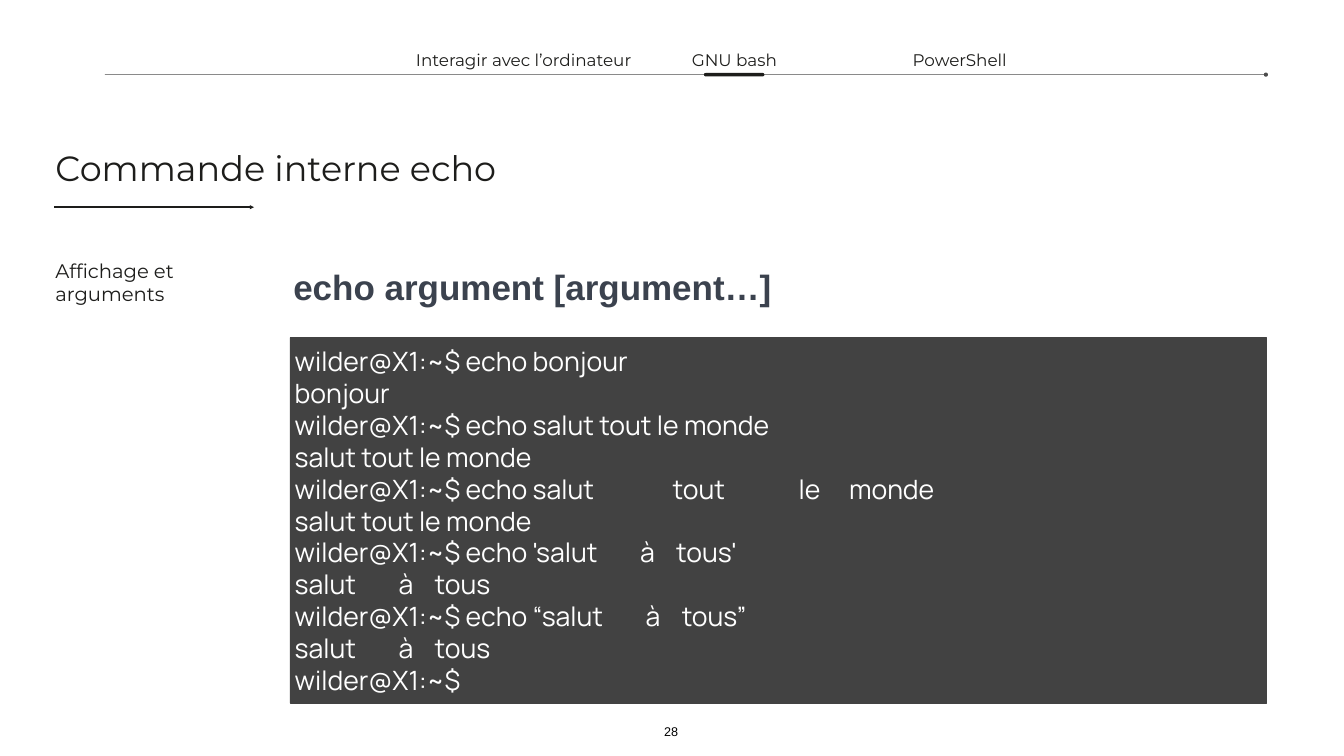
from lxml.etree import SubElement
from pptx import Presentation
from pptx.dml.color import RGBColor
from pptx.enum.shapes import MSO_CONNECTOR, MSO_SHAPE
from pptx.enum.text import MSO_ANCHOR, PP_ALIGN
from pptx.oxml.ns import qn
from pptx.util import Inches, Pt

WIDTH, HEIGHT = 26.67, 15
COLORS = {"ink": "1D1D1B", "rule": "000000", "terminal": "424242",
          "syntax": "3B424E", "white": "FFFFFF"}

TITLE = "Commande interne echo"
SUBTITLE = "Affichage et arguments"
SYNTAX = "echo argument [argument…]"
PAGE_NUMBER = "28"
TABS = [("Interagir avec l’ordinateur", 29.21, 19.5),
        ("GNU bash", 46.79, 15.71),
        ("PowerShell", 63.55, 15.71)]
PROMPT = "wilder@X1:~$"
SESSION = [
    (" echo bonjour", "bonjour"),
    (" echo salut tout le monde", "salut tout le monde"),
    (" echo salut              \ttout            \tle  \tmonde", "salut tout le monde"),
    (" echo 'salut        à    tous'", "salut        à    tous"),
    (" echo “salut        à    tous”", "salut        à    tous"),
]

LEFT, RIGHT = 3.9, 94.19
TERMINAL_LEFT = 21.56
NAVIGATION_RULE = 9.87


def across(percent):
    return Inches(WIDTH * percent / 100)


def down(percent):
    return Inches(HEIGHT * percent / 100)


def place(left, top, width, height):
    return across(left), down(top), across(width), down(height)


def color(name):
    return RGBColor.from_string(COLORS[name])


def write(shape, text, size=24, font="Montserrat", ink="ink", bold=False,
          align=PP_ALIGN.LEFT, anchor=MSO_ANCHOR.MIDDLE, inset=0.06,
          spacing=None, wrap=True):
    frame = shape.text_frame
    frame.word_wrap = wrap
    frame.vertical_anchor = anchor
    frame.margin_left = frame.margin_right = Inches(inset)
    frame.margin_top = frame.margin_bottom = Inches(inset)
    for index, line in enumerate(text.split("\n")):
        paragraph = frame.add_paragraph() if index else frame.paragraphs[0]
        paragraph.alignment = align
        if spacing:
            paragraph.line_spacing = spacing
        run = paragraph.add_run()
        run.text = line
        run.font.size = Pt(size)
        run.font.name = font
        run.font.bold = bold
        run.font.color.rgb = color(ink)


def add_text(slide, text, box, **style):
    write(slide.shapes.add_textbox(*place(*box)), text, **style)


def add_block(slide, kind, box, fill):
    shape = slide.shapes.add_shape(kind, *place(*box))
    shape.shadow.inherit = False
    shape.fill.solid()
    shape.fill.fore_color.rgb = color(fill)
    shape.line.fill.background()
    return shape


def add_rule(slide, start, end, top, ink, width, tail, opacity=100):
    rule = slide.shapes.add_connector(
        MSO_CONNECTOR.STRAIGHT, across(start), down(top), across(end), down(top))
    rule.line.color.rgb = color(ink)
    rule.line.width = Pt(width)
    properties = rule.line._get_or_add_ln()
    if opacity < 100:
        fill = properties.find(qn("a:solidFill"))[0]
        SubElement(fill, qn("a:alpha"), val=str(opacity * 1000))
    SubElement(properties, qn("a:tailEnd"), type=tail)
    SubElement(rule._element.spPr, qn("a:effectLst"))


def main():
    presentation = Presentation()
    presentation.slide_width, presentation.slide_height = Inches(WIDTH), Inches(HEIGHT)
    slide = presentation.slides.add_slide(presentation.slide_layouts[6])

    add_rule(slide, 4.05, 18.9, 27.4, "ink", 2, "triangle")
    add_text(slide, TITLE, (LEFT, 19, 54.82, 6.33), size=50)
    add_text(slide, SUBTITLE, (LEFT, 33.8, 14.36, 7), size=28)

    add_rule(slide, 7.8, RIGHT, NAVIGATION_RULE, "rule", 1, "oval", opacity=70)
    for label, left, width in TABS:
        add_text(slide, label, (left, 6.2, width, 3.47), align=PP_ALIGN.CENTER)
    marker = add_block(slide, MSO_SHAPE.ROUNDED_RECTANGLE, (52.38, 9.65, 4.5, 0.45), "ink")
    marker.adjustments[0] = 0.5

    add_text(slide, SYNTAX, (21.82, 32.87, RIGHT - 21.82, 9.33), size=50,
             font="Arial", ink="syntax", bold=True, inset=0, spacing=1.15)
    terminal = add_block(slide, MSO_SHAPE.RECTANGLE,
                         (TERMINAL_LEFT, 44.67, RIGHT - TERMINAL_LEFT, 48.33), "terminal")
    terminal.line.color.rgb = color("terminal")
    terminal.line.width = Pt(0.75)
    lines = [line for command, output in SESSION for line in (PROMPT + command, output)]
    write(terminal, "\n".join(lines + [PROMPT]), size=38, font="Manrope",
          ink="white", inset=0.1)

    add_text(slide, PAGE_NUMBER, (49.19, 95.4, 1.5, 2.8), size=18, font="Arial",
             ink="rule", align=PP_ALIGN.CENTER, anchor=MSO_ANCHOR.BOTTOM, wrap=False)
    presentation.save("out.pptx")


if __name__ == "__main__":
    main()
